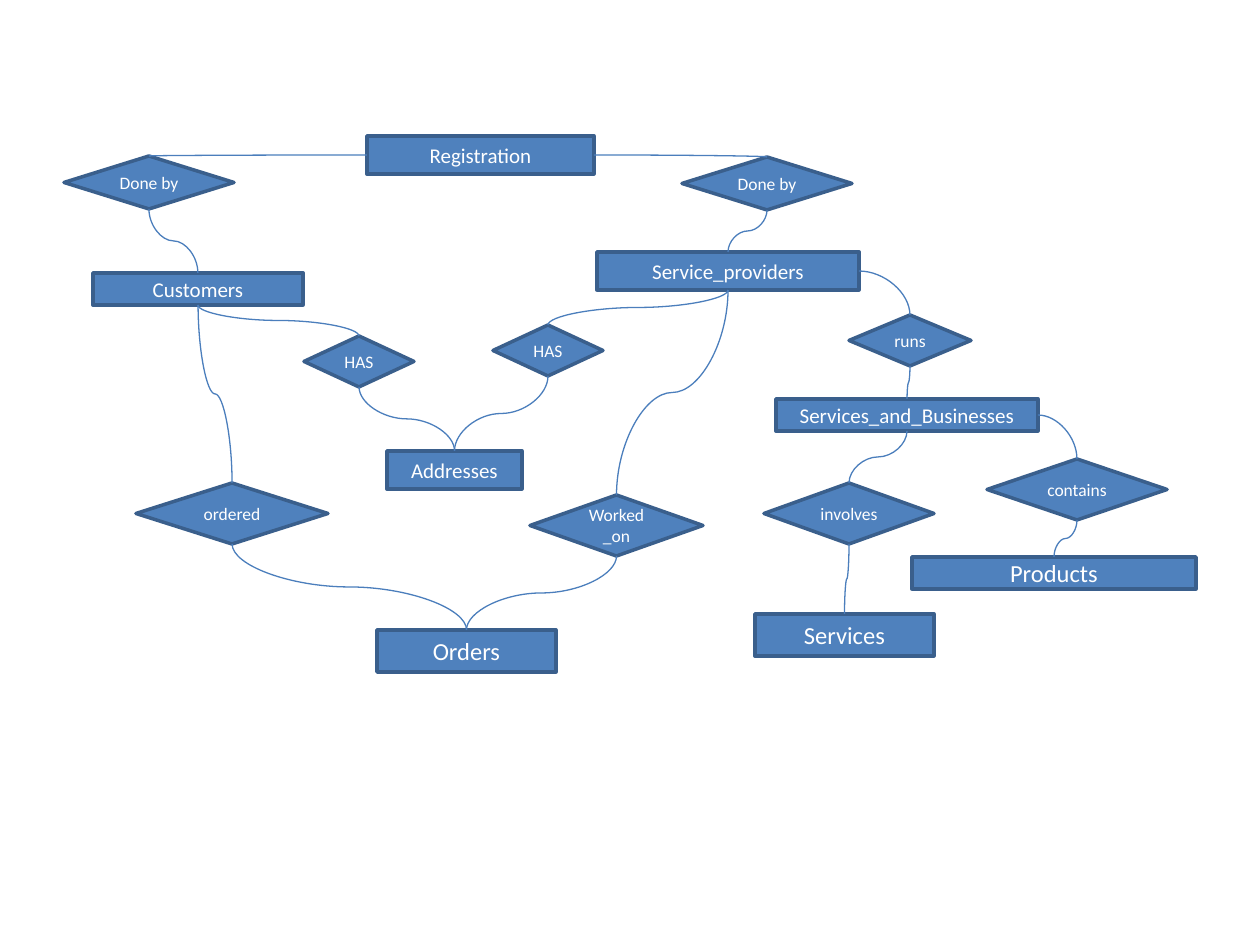
from lxml.etree import SubElement
from pptx import Presentation
from pptx.dml.color import RGBColor
from pptx.enum.shapes import MSO_CONNECTOR, MSO_SHAPE
from pptx.enum.text import MSO_ANCHOR, PP_ALIGN
from pptx.oxml.ns import qn
from pptx.util import Pt

COLORS = {"fill": "4F81BD", "border": "3A5F8C", "link": "4B7EBC", "text": "FFFFFF"}
FONT = "Calibri"
SCALE = 914400 / 126  # EMU per px

# Entities: key, label, (left, top, width, height), text size
ENTITIES = [
    ("registration", "Registration", (367, 136, 227, 38), 12),
    ("customers", "Customers", (93, 273, 210, 32), 12),
    ("providers", "Service_providers", (597, 252, 262, 38), 12),
    ("addresses", "Addresses", (387, 451, 135, 38), 12),
    ("businesses", "Services_and_Businesses", (776, 399, 262, 32), 12),
    ("services", "Services", (755, 614, 179, 42), 14),
    ("products", "Products", (912, 557, 284, 32), 14),
    ("orders", "Orders", (377, 630, 179, 42), 14),
]

# Relationships: key, label, (left, top, width, height), text size
RELATIONSHIPS = [
    ("customer_done", "Done by", (64, 156, 170, 53), 10),
    ("provider_done", "Done by", (682, 157, 170, 53), 10),
    ("customer_has", "HAS", (304, 336, 110, 51), 10),
    ("provider_has", "HAS", (493, 325, 110, 51), 10),
    ("runs", "runs", (849, 315, 122, 51), 10),
    ("involves", "involves", (764, 483, 170, 61), 10),
    ("contains", "contains", (987, 459, 180, 61), 10),
    ("ordered", "ordered", (136, 483, 192, 61), 10),
    ("worked", "Worked_on", (530, 495, 173, 61), 10),
]

# Connection sites of rectangles and diamonds
TOP, LEFT, BOTTOM, RIGHT = range(4)

# Links that leave a side and end on a top: from, side, to
SIDE_LINKS = [
    ("registration", LEFT, "customer_done"),
    ("registration", RIGHT, "provider_done"),
    ("providers", RIGHT, "runs"),
    ("businesses", RIGHT, "contains"),
]

# Links that run from a bottom to a top: from, to
DOWN_LINKS = [
    ("customer_done", "customers"),
    ("provider_done", "providers"),
    ("customers", "customer_has"),
    ("customers", "ordered"),
    ("providers", "provider_has"),
    ("providers", "worked"),
    ("customer_has", "addresses"),
    ("provider_has", "addresses"),
    ("runs", "businesses"),
    ("businesses", "involves"),
    ("involves", "services"),
    ("contains", "products"),
    ("ordered", "orders"),
    ("worked", "orders"),
]


def px(n):
    return round(n * SCALE)


def rgb(name):
    return RGBColor.from_string(COLORS[name])


def add_node(slide, kind, label, box, size):
    sp = slide.shapes.add_shape(kind, *map(px, box))
    sp.shadow.inherit = False
    sp.fill.solid()
    sp.fill.fore_color.rgb = rgb("fill")
    sp.line.color.rgb = rgb("border")
    sp.line.width = Pt(2)
    tf = sp.text_frame
    tf.word_wrap = True
    tf.vertical_anchor = MSO_ANCHOR.MIDDLE
    p = tf.paragraphs[0]
    p.alignment = PP_ALIGN.CENTER
    r = p.add_run()
    r.text = label
    for name, value in {"name": FONT, "size": Pt(size)}.items():
        setattr(r.font, name, value)
    r.font.color.rgb = rgb("text")
    return sp


def add_link(slide, start, side, end):
    cxn = slide.shapes.add_connector(MSO_CONNECTOR.CURVE, 0, 0, 0, 0)
    cxn.begin_connect(start, side)
    cxn.end_connect(end, TOP)
    cxn.line.color.rgb = rgb("link")
    cxn.line.width = Pt(0.75)
    sppr = cxn._element.spPr
    SubElement(sppr, qn("a:effectLst"))
    if side != BOTTOM:
        sppr.find(qn("a:prstGeom")).set("prst", "curvedConnector2")
        return
    # A downward curve is a sideways one turned by a quarter about its centre
    x1, y1, x2, y2 = cxn.begin_x, cxn.begin_y, cxn.end_x, cxn.end_y
    width, height = y2 - y1, abs(x2 - x1)
    place = {"left": (x1 + x2 - width) // 2, "top": (y1 + y2 - height) // 2,
             "width": width, "height": height}
    for name, value in place.items():
        setattr(cxn, name, value)
    xfrm = sppr.find(qn("a:xfrm"))
    rightward = x2 > x1
    xfrm.set("rot", str((270 if rightward else 90) * 60000))
    xfrm.set("flipH", "1" if rightward else "0")
    xfrm.set("flipV", "0")


def main():
    prs = Presentation()
    prs.slide_width, prs.slide_height = px(1260), px(945)
    slide = prs.slides.add_slide(prs.slide_layouts[6])

    # Entities and relationships
    nodes = {}
    for kind, items in ((MSO_SHAPE.RECTANGLE, ENTITIES), (MSO_SHAPE.DIAMOND, RELATIONSHIPS)):
        for key, label, box, size in items:
            nodes[key] = add_node(slide, kind, label, box, size)

    # Curved links
    for start, side, end in SIDE_LINKS + [(a, BOTTOM, b) for a, b in DOWN_LINKS]:
        add_link(slide, nodes[start], side, nodes[end])

    prs.save("out.pptx")


if __name__ == "__main__":
    main()
